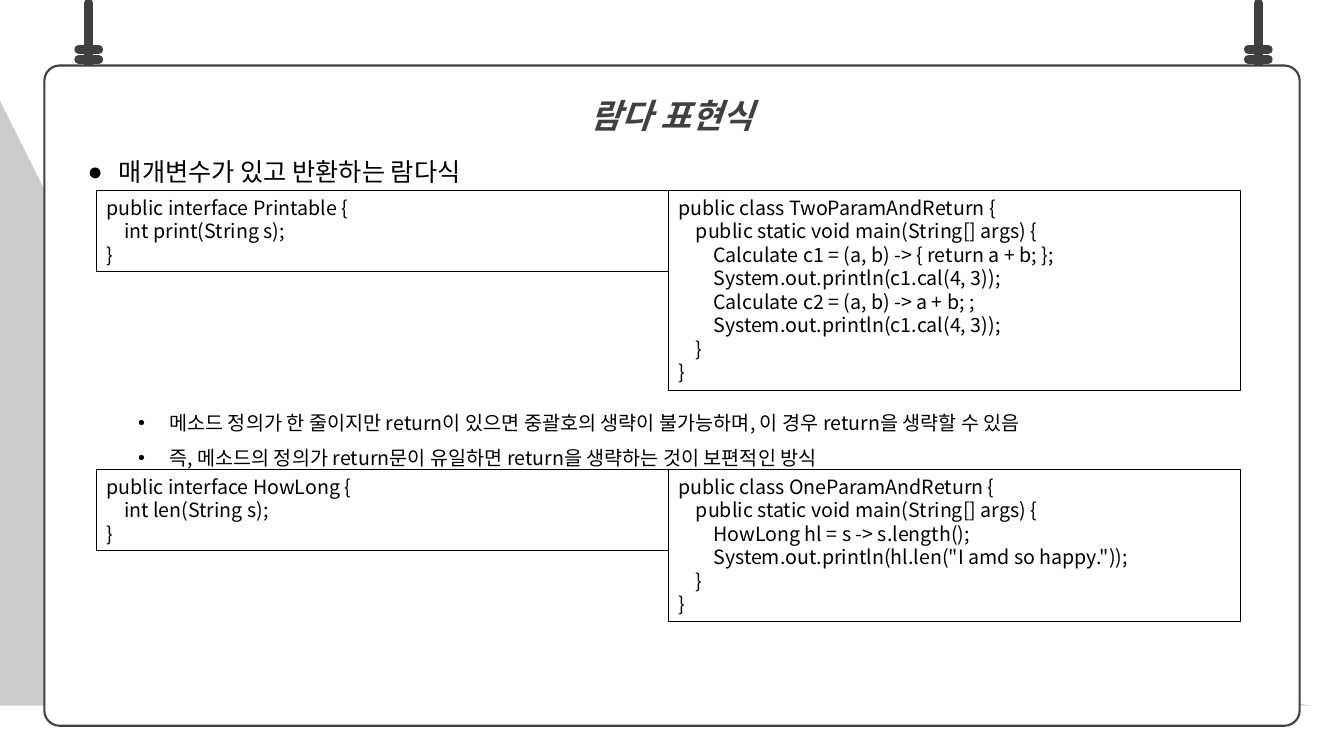
import pptx
import pptx.dml.color
import pptx.enum.shapes
import pptx.enum.text
import pptx.oxml.ns
import pptx.util
from lxml import etree

Inches, Pt = pptx.util.Inches, pptx.util.Pt
MSO_SHAPE = pptx.enum.shapes.MSO_SHAPE
PP_ALIGN = pptx.enum.text.PP_ALIGN
AUTO_SIZE = pptx.enum.text.MSO_AUTO_SIZE

FONT = "Noto Sans CJK KR"
COLORS = {"card": "FFFFFF", "ink": "404040", "text": "000000", "shade": "000000"}
CARD = (0.44, 0.65, 12.45, 6.55)
CODE_WIDTH = 5.67
CODE_LEFT = 0.96
CODE_INDENT = Pt(12.5)
CODE_LINE = 0.235

CODE_ROWS = [
    (1.89, [
        """public interface Printable {
    int print(String s);
}""",
        """public class TwoParamAndReturn {
    public static void main(String[] args) {
        Calculate c1 = (a, b) -> { return a + b; };
        System.out.println(c1.cal(4, 3));
        Calculate c2 = (a, b) -> a + b; ;
        System.out.println(c1.cal(4, 3));
    }
}"""]),
    (4.66, [
        """public interface HowLong {
    int len(String s);
}""",
        """public class OneParamAndReturn {
    public static void main(String[] args) {
        HowLong hl = s -> s.length();
        System.out.println(hl.len("I amd so happy."));
    }
}"""]),
]
HEADING = "매개변수가 있고 반환하는 람다식"
NOTES = [
    "메소드 정의가 한 줄이지만 return이 있으면 중괄호의 생략이 불가능하며, 이 경우 return을 생략할 수 있음",
    "즉, 메소드의 정의가 return문이 유일하면 return을 생략하는 것이 보편적인 방식",
]


def rgb(name):
    return pptx.dml.color.RGBColor.from_string(COLORS[name])


def add_child(parent, tag, **attributes):
    return etree.SubElement(parent, pptx.oxml.ns.qn(tag), attributes)


def add_text(frame, text, size=14, color="text", bold=False, italic=False,
             align=PP_ALIGN.LEFT, spacing=1.0, before=0, level=0,
             margin=0, hanging=0, bullet=None):
    """Write text into the empty first paragraph, or into a new one."""
    paragraph = frame.paragraphs[0]
    if paragraph.runs:
        paragraph = frame.add_paragraph()
    paragraph.level = level
    paragraph.alignment = align
    paragraph.line_spacing = spacing
    paragraph.space_before, paragraph.space_after = Pt(before), Pt(0)
    properties = paragraph._p.get_or_add_pPr()
    properties.set("marL", str(int(margin)))
    properties.set("indent", str(-int(hanging)))
    if bullet:
        add_child(properties, "a:buFont", typeface="Arial")
        add_child(properties, "a:buChar", char=bullet)
    run = paragraph.add_run()
    run.text = text
    font = run.font
    font.size, font.bold, font.italic, font.name = Pt(size), bold, italic, FONT
    font.color.rgb = rgb(color)
    add_child(run._r.get_or_add_rPr(), "a:ea", typeface=FONT)


def place(shape, left, top, width, height):
    shape.left, shape.top = Inches(left), Inches(top)
    shape.width, shape.height = Inches(width), Inches(height)


def bring_to_front(slide, shape):
    slide.shapes._spTree.append(shape._element)


def curve(start, control1, control2, end, steps=12):
    """Points along a cubic curve, without its start."""
    points = []
    for step in range(1, steps + 1):
        t = step / steps
        weights = ((1 - t) ** 3, 3 * t * (1 - t) ** 2, 3 * t * t * (1 - t), t ** 3)
        points.append(tuple(
            sum(weight * value for weight, value in zip(weights, values))
            for values in zip(start, control1, control2, end)))
    return points


def draw_card_shade(slide, left, top, width, height):
    bottom, right = top + height, left + width
    start, side = (left + 0.18, top), (left, bottom - 0.15)
    corner = (left + 0.15, bottom)
    points = curve(start, (left + 0.16, top + 0.88), (left, bottom - 1.01), side)
    points += curve(side, (left, bottom - 0.07), (left + 0.07, bottom), corner)
    points += [(right, bottom - 0.21), (left + 2.05, top + 3.49)]
    builder = slide.shapes.build_freeform(*start, scale=Inches(1))
    builder.add_line_segments(points, close=True)
    shade = builder.convert_to_shape()
    shade.shadow.inherit = False
    shade.line.fill.background()
    shade.fill.solid()
    shade.fill.fore_color.rgb = rgb("shade")
    color = shade._element.spPr.find(".//" + pptx.oxml.ns.qn("a:srgbClr"))
    add_child(color, "a:alpha", val="20000")


def draw_hanger(slide, left, top, width, height):
    center = left + width / 2
    strokes = [(center, top, center, top + height)]
    strokes += [(left, y, left + width, y) for y in (top + 0.46, top + 0.56)]
    for stroke in strokes:
        line = slide.shapes.add_connector(
            pptx.enum.shapes.MSO_CONNECTOR.STRAIGHT, *map(Inches, stroke))
        line.line.width = Pt(6.25)
        line.line.color.rgb = rgb("ink")
        line.line._get_or_add_ln().set("cap", "rnd")
        add_child(line._element.spPr, "a:effectLst")


def draw_card(slide, *box):
    card = slide.shapes.add_shape(MSO_SHAPE.ROUNDED_RECTANGLE, *map(Inches, box))
    card.adjustments[0] = 0.023
    card.shadow.inherit = False
    card.fill.solid()
    card.fill.fore_color.rgb = rgb("card")
    card.line.color.rgb = rgb("ink")
    card.line.width = Pt(1.5)


def write_title(slide, *box):
    title = slide.shapes.title
    place(title, *box)
    bring_to_front(slide, title)
    frame = title.text_frame
    frame.auto_size = AUTO_SIZE.NONE
    frame.vertical_anchor = pptx.enum.text.MSO_ANCHOR.TOP
    add_text(frame, "람다 표현식", size=24, color="ink", bold=True, italic=True,
             align=PP_ALIGN.CENTER, spacing=1.5)


def write_body(slide, left, top, width, height):
    body = slide.placeholders[1]
    place(body, left + 0.43, top + 0.75, width - 0.47, height - 0.8)
    bring_to_front(slide, body)
    frame = body.text_frame
    frame.auto_size = AUTO_SIZE.NONE
    frame.margin_left = frame.margin_top = frame.margin_right = frame.margin_bottom = 0
    hanging = Inches(0.31)
    add_text(frame, HEADING, size=18, spacing=1.5, margin=hanging,
             hanging=hanging, bullet="●")
    for index, note in enumerate(NOTES):
        add_text(frame, note, spacing=1.5, before=0 if index else 152, level=1,
                 margin=Inches(0.81), hanging=hanging, bullet="•")


def draw_code_box(slide, left, top, width, code):
    lines = code.splitlines()
    height = 0.1 + CODE_LINE * len(lines)
    box = slide.shapes.add_shape(
        MSO_SHAPE.RECTANGLE, *map(Inches, (left, top, width, height)))
    box.shadow.inherit = False
    box.fill.background()
    box.line.color.rgb = rgb("text")
    box.line.width = Pt(0.75)
    frame = box.text_frame
    frame.word_wrap = True
    frame.auto_size = AUTO_SIZE.SHAPE_TO_FIT_TEXT
    frame.vertical_anchor = pptx.enum.text.MSO_ANCHOR.TOP
    for line in lines:
        text = line.lstrip()
        depth = (len(line) - len(text)) // 4
        add_text(frame, text, margin=depth * CODE_INDENT)


def main():
    presentation = pptx.Presentation()
    presentation.slide_width, presentation.slide_height = Inches(13.33), Inches(7.5)
    slide = presentation.slides.add_slide(presentation.slide_layouts[1])
    draw_card_shade(slide, 0.27, 1.1, 12.48, 6.24)
    for left in (0.78, 12.38):
        draw_hanger(slide, left, 0.03, 0.2, 0.79)
    draw_card(slide, *CARD)
    write_body(slide, *CARD)
    write_title(slide, 3.33, 0.69, 6.67, 0.63)
    for top, row in CODE_ROWS:
        for column, code in enumerate(row):
            draw_code_box(slide, CODE_LEFT + column * CODE_WIDTH, top, CODE_WIDTH, code)
    presentation.save("out.pptx")


if __name__ == "__main__":
    main()
